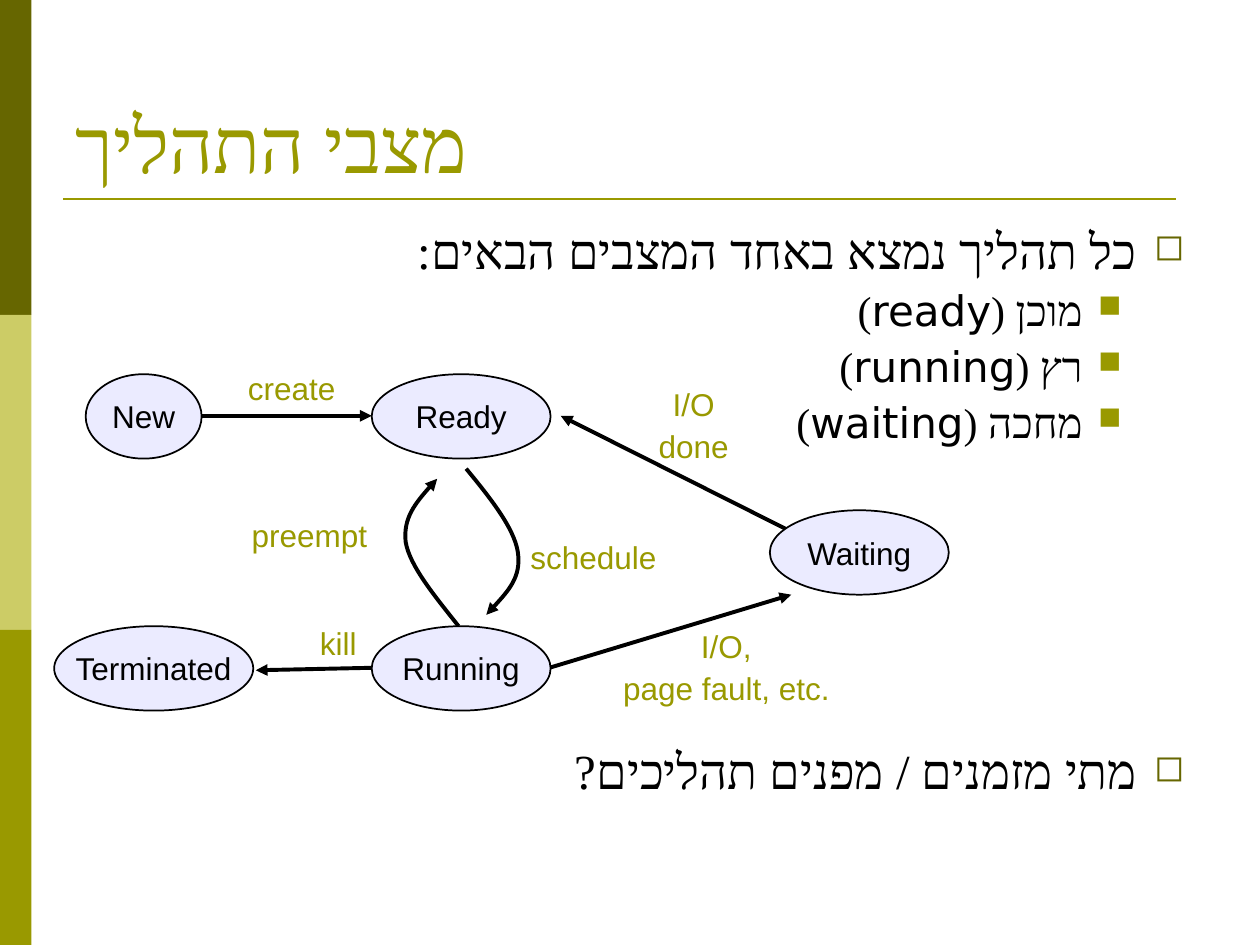
"""Build a slide on process states with a state transition diagram."""
import lxml.etree
import pptx
import pptx.dml.color
import pptx.enum.shapes
import pptx.enum.text
import pptx.oxml.ns
import pptx.util

Inches, Pt = pptx.util.Inches, pptx.util.Pt
qn = pptx.oxml.ns.qn
ALIGN = pptx.enum.text.PP_ALIGN
ANCHOR = pptx.enum.text.MSO_ANCHOR
SHAPE = pptx.enum.shapes.MSO_SHAPE

THEME = {
    "dark": "666600", "light": "CCCC66", "accent": "999900",
    "ink": "000000", "state": "EBEBFF",
    "title_font": "Times New Roman", "body_font": "DejaVu Sans", "label_font": "Arial",
    "hebrew_font": "Times New Roman",
    "title": 44, "body": (28, 24), "label": 18, "arrow": 2.25, "outline": 1,
}
LEVELS = [
    {"bullet": "◻", "color": "dark", "margin": 0.38, "indent": -0.38, "before": 7},
    {"bullet": "■", "color": "accent", "margin": 0.81, "indent": -0.31, "before": 6},
]

TITLE = "מצבי התהליך"
BODY = [
    (1.75, 2.0, [
        (0, "כל תהליך נמצא באחד המצבים הבאים:"),
        (1, "מוכן (ready)"),
        (1, "רץ (running)"),
        (1, "מחכה (waiting)"),
    ]),
    (5.88, 0.6, [(0, "מתי מזמנים / מפנים תהליכים?")]),
]
STATE_HEIGHT = 0.67
STATES = [
    ("New", 0.68, 2.97, 0.92),
    ("Terminated", 0.43, 4.97, 1.58),
    ("Ready", 2.95, 2.97, 1.42),
    ("Running", 2.95, 4.97, 1.42),
    ("Waiting", 6.11, 4.05, 1.42),
]
ARROWS = [
    ((4.36, 5.3), (6.28, 4.72)),
    ((6.28, 4.22), (4.45, 3.3)),
    ((1.36, 3.3), (2.95, 3.3)),
    ((2.95, 5.3), (2.03, 5.32)),
]
CURVES = [
    [(3.7, 3.72), (3.89, 3.95), (4.08, 4.19), (4.11, 4.38),
     (4.14, 4.58), (4, 4.73), (3.86, 4.88)],
    [(3.64, 4.97), (3.45, 4.73), (3.25, 4.49), (3.22, 4.3),
     (3.2, 4.11), (3.33, 3.95), (3.47, 3.8)],
]
LABEL_PAD = 0.2
LABELS = [
    (["create"], 1.87, 2.88, 0.89),
    (["kill"], 2.44, 4.9, 0.49),
    (["I/O,", "page fault, etc."], 4.81, 4.93, 1.91),
    (["I/O", "done"], 5.13, 3.01, 0.75),
    (["schedule"], 4.11, 4.22, 1.2),
    (["preempt"], 1.9, 4.05, 1.11),
]


def rgb(name):
    return pptx.dml.color.RGBColor.from_string(THEME[name])


def add_run(p, text, size, font, color, cs_font=None):
    r = p.add_run()
    r.text = text
    r.font.size = Pt(size)
    r.font.name = THEME[font]
    r.font.color.rgb = rgb(color)
    if cs_font:
        lxml.etree.SubElement(r.font._element, qn("a:cs"), typeface=THEME[cs_font])


def add_paragraph(tf, first):
    return tf.paragraphs[0] if first else tf.add_paragraph()


def add_box(s, left, top, width, height, anchor=ANCHOR.TOP):
    tf = s.shapes.add_textbox(*map(Inches, (left, top, width, height))).text_frame
    tf.word_wrap = True
    tf.vertical_anchor = anchor
    return tf


def add_preset(s, kind, left, top, width, height, fill):
    sp = s.shapes.add_shape(kind, *map(Inches, (left, top, width, height)))
    sp.shadow.inherit = False
    sp.fill.solid()
    sp.fill.fore_color.rgb = rgb(fill)
    sp.line.fill.background()
    return sp


def style_line(sp, color, width, arrow=True):
    sp.line.color.rgb = rgb(color)
    sp.line.width = Pt(width)
    if arrow:
        lxml.etree.SubElement(sp.line._get_or_add_ln(), qn("a:tailEnd"), type="triangle")


def add_line(s, start, end, color, width, arrow=True):
    sp = s.shapes.add_connector(
        pptx.enum.shapes.MSO_CONNECTOR.STRAIGHT, *map(Inches, start + end))
    style_line(sp, color, width, arrow)
    lxml.etree.SubElement(sp._element.spPr, qn("a:effectLst"))


def add_curve(s, points):
    units = [(round(x * 1000), round(y * 1000)) for x, y in points]
    builder = s.shapes.build_freeform(*units[0], scale=Inches(1) / 1000)
    builder.add_line_segments(units[1:], close=False)
    sp = builder.convert_to_shape()
    sp.shadow.inherit = False
    sp.fill.background()
    style_line(sp, "ink", THEME["arrow"])
    path = next(sp._element.iter(qn("a:path")))
    segments = path.findall(qn("a:lnTo"))
    for i in range(0, len(segments), 3):
        bezier = lxml.etree.SubElement(path, qn("a:cubicBezTo"))
        for segment in segments[i:i + 3]:
            bezier.append(segment[0])
            path.remove(segment)


def add_bullet(p, level):
    look = LEVELS[level]
    pPr = p._p.get_or_add_pPr()
    pPr.set("rtl", "1")
    pPr.set("marL", str(Inches(look["margin"])))
    pPr.set("indent", str(Inches(look["indent"])))
    color = lxml.etree.SubElement(pPr, qn("a:buClr"))
    lxml.etree.SubElement(color, qn("a:srgbClr"), val=THEME[look["color"]])
    lxml.etree.SubElement(pPr, qn("a:buSzPct"), val="75000")
    lxml.etree.SubElement(pPr, qn("a:buChar"), char=look["bullet"])


def add_frame(s):
    for i, color in enumerate(("dark", "light", "accent")):
        add_preset(s, SHAPE.RECTANGLE, 0, 2.5 * i, 0.25, 2.5, color)
    add_line(s, (0.5, 1.58), (9.33, 1.58), "accent", 1.5, arrow=False)
    p = add_box(s, 0.5, 0.3, 9, 1.25, ANCHOR.BOTTOM).paragraphs[0]
    p.alignment = ALIGN.LEFT
    p._p.get_or_add_pPr().set("rtl", "1")
    add_run(p, TITLE, THEME["title"], "title_font", "accent", "hebrew_font")


def add_body(s):
    for top, height, items in BODY:
        tf = add_box(s, 0.5, top, 9, height)
        for i, (level, text) in enumerate(items):
            p = add_paragraph(tf, i == 0)
            add_bullet(p, level)
            p.alignment = ALIGN.RIGHT
            p.line_spacing = 0.9
            if i:
                p.space_before = Pt(LEVELS[level]["before"])
            add_run(p, text, THEME["body"][level], "body_font", "ink", "hebrew_font")


def add_diagram(s):
    for start, end in ARROWS:
        add_line(s, start, end, "ink", THEME["arrow"])
    for points in CURVES:
        add_curve(s, points)
    for name, left, top, width in STATES:
        sp = add_preset(s, SHAPE.OVAL, left, top, width, STATE_HEIGHT, "state")
        style_line(sp, "ink", THEME["outline"], arrow=False)
        sp.text_frame.word_wrap = False
        p = sp.text_frame.paragraphs[0]
        p.alignment = ALIGN.CENTER
        add_run(p, name, THEME["label"], "label_font", "ink")
    for lines, left, top, width in LABELS:
        tf = add_box(s, left - LABEL_PAD / 2, top, width + LABEL_PAD, 0.07 + 0.33 * len(lines))
        for i, text in enumerate(lines):
            p = add_paragraph(tf, i == 0)
            p.alignment = ALIGN.CENTER
            if i:
                p.space_before = Pt(2.2)
            add_run(p, text, THEME["label"], "label_font", "accent")


def main():
    prs = pptx.Presentation()
    prs.slide_width, prs.slide_height = Inches(10), Inches(7.5)
    s = prs.slides.add_slide(prs.slide_layouts[6])
    add_frame(s)
    add_body(s)
    add_diagram(s)
    prs.save("out.pptx")


if __name__ == "__main__":
    main()
